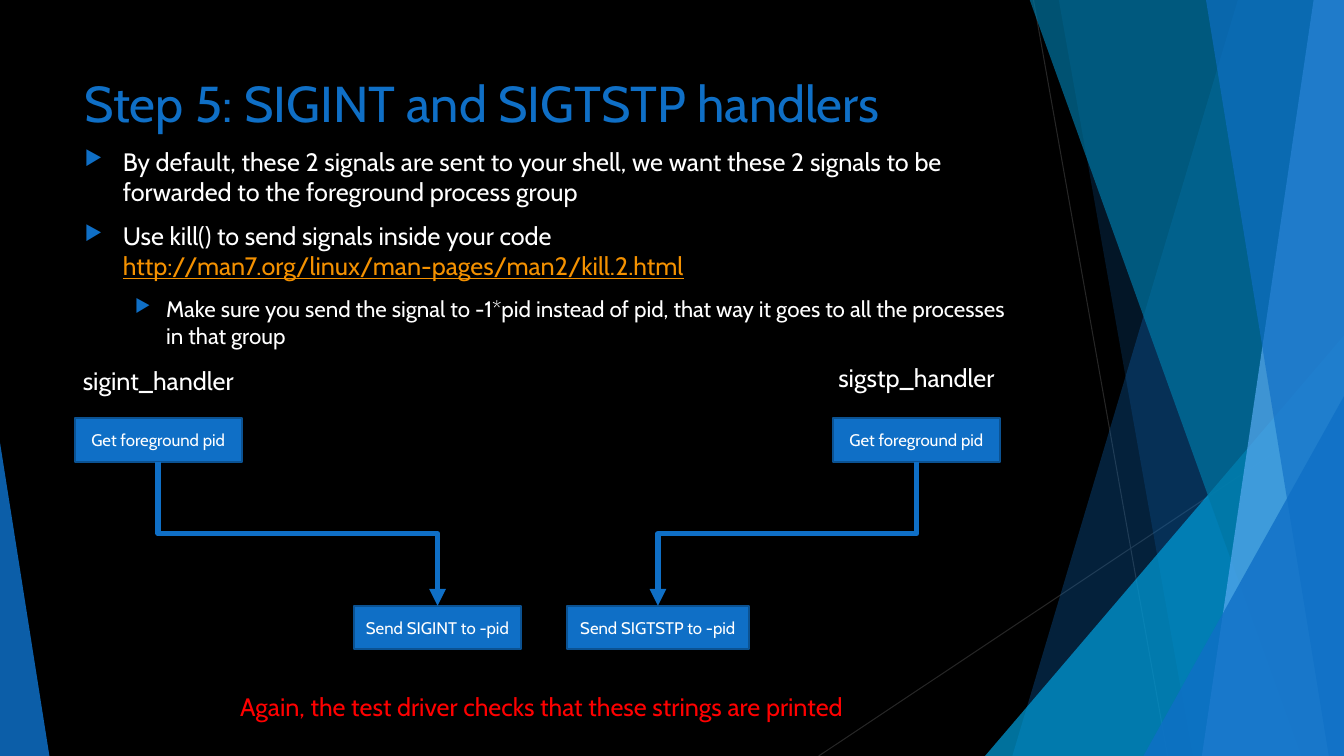
"""Build the slide on SIGINT and SIGTSTP handlers."""
from lxml.etree import SubElement
from pptx import Presentation
from pptx.dml.color import RGBColor
from pptx.enum.shapes import MSO_CONNECTOR as CONN, MSO_SHAPE as SHAPE
from pptx.enum.text import MSO_ANCHOR as ANCHOR, PP_ALIGN as ALIGN
from pptx.oxml.ns import qn
from pptx.util import Inches, Pt

BLACK = RGBColor(0x00, 0x00, 0x00)
WHITE = RGBColor(0xFF, 0xFF, 0xFF)
RED = RGBColor(0xFF, 0x00, 0x00)
ORANGE = RGBColor(0xF4, 0x91, 0x00)
BLUE = RGBColor(0x0F, 0x6F, 0xC6)
DARK_BLUE = RGBColor(0x0B, 0x52, 0x92)
LIGHT_BLUE = RGBColor(0x59, 0xAA, 0xF2)
CYAN = RGBColor(0x00, 0x9D, 0xD9)
TEAL = RGBColor(0x00, 0x76, 0xA3)
GREY = RGBColor(0x26, 0x26, 0x26)
FONT = "Cabin"
WIDTH, HEIGHT, BLEED = 13.33, 7.5, -0.01

TITLE = "Step 5: SIGINT and SIGTSTP handlers"
BULLETS = [
    (0, [("By default, these 2 signals are sent to your shell, we want these 2 "
          "signals to be forwarded to the foreground process group", False)]),
    (0, [("Use kill() to send signals inside your code ", False),
         ("http://man7.org/linux/man-pages/man2/kill.2.html", True)]),
    (1, [("Make sure you send the signal to -1*pid instead of pid, that way it "
          "goes to all the processes in that group", False)]),
]
LEVELS = [(0.38, -0.38, 18), (0.81, -0.31, 16)]
LABELS = [
    ("sigint_handler", (0.39, 3.58, 2.36, 0.4), WHITE),
    ("sigstp_handler", (7.91, 3.55, 2.36, 0.4), WHITE),
    ("Again, the test driver checks that these strings are printed",
     (1.74, 6.81, 7.26, 0.4), RED),
]
BOX_HEIGHT, GET_TOP, SEND_TOP = 0.43, 4.15, 6.01
FLOWS = [
    (("Get foreground pid", 0.74, 1.66), ("Send SIGINT to -pid", 3.51, 1.66)),
    (("Get foreground pid", 8.26, 1.66), ("Send SIGTSTP to -pid", 5.62, 1.81)),
]
HAIRLINES = [(10.25, 0, 11.58, 7.5), (13.33, 4.03, 8.12, 7.5)]
FACETS = [
    ("band", (12.28, 10.04), BLUE, 30),
    ("band", (10.5, 11.83), BLUE, 20),
    ("right", (9.77, 3.33), CYAN, 72),
    ("band", (10.21, 12.91), TEAL, 70),
    ("band", (13.03, 11.92), LIGHT_BLUE, 70),
    ("band", (11.96, 13.18), BLUE, 65),
    ("right", (11.34, 3.93), BLUE, 80),
    ("left", (0.49, 4.39), BLUE, 85),
]

prs = Presentation()
prs.slide_width, prs.slide_height = Inches(WIDTH), Inches(HEIGHT)
s = prs.slides.add_slide(prs.slide_layouts[6])
s.background.fill.solid()
s.background.fill.fore_color.rgb = BLACK


def put_text(p, text, size=18, color=WHITE, underline=None):
    r = p.add_run()
    r.text = text
    r.font.name, r.font.size = FONT, Pt(size)
    r.font.color.rgb, r.font.underline = color, underline


def add_text_box(box):
    tf = s.shapes.add_textbox(*map(Inches, box)).text_frame
    tf.word_wrap = True
    return tf


def add_line(kind, ends, color, width):
    line = s.shapes.add_connector(kind, *map(Inches, ends))
    line.line.color.rgb, line.line.width = color, Pt(width)
    SubElement(line._element.spPr, qn("a:effectLst"))
    return line


def add_facet(kind, edge, color, alpha):
    if kind == "band":
        top, bottom = edge
        points = [(top, BLEED), (WIDTH, BLEED), (WIDTH, HEIGHT), (bottom, HEIGHT)]
        points = [(Inches(x), Inches(y)) for x, y in points]
        outline = s.shapes.build_freeform(*points[0])
        outline.add_line_segments(points[1:])
        sp = outline.convert_to_shape()
    else:
        x, top = edge
        left, right = (x, WIDTH) if kind == "right" else (0, x)
        sp = s.shapes.add_shape(SHAPE.ISOSCELES_TRIANGLE, Inches(left), Inches(top),
                                Inches(right - left), Inches(HEIGHT - top))
        sp.adjustments[0] = 1 if kind == "right" else 0
    sp.shadow.inherit = False
    sp.line.fill.background()
    sp.fill.solid()
    sp.fill.fore_color.rgb = color
    clr = sp._element.spPr.find(qn("a:solidFill"))[0]
    SubElement(clr, qn("a:alpha"), val=str(alpha * 1000))


def add_bullet(p, level):
    left, indent, _ = LEVELS[level]
    p.level = level
    pPr = p._p.get_or_add_pPr()
    pPr.set("marL", str(Inches(left)))
    pPr.set("indent", str(Inches(indent)))
    clr = SubElement(pPr, qn("a:buClr"))
    SubElement(clr, qn("a:srgbClr"), val=str(BLUE))
    SubElement(pPr, qn("a:buSzPct"), val="80000")
    SubElement(pPr, qn("a:buChar"), char="▶")


def add_box(text, left, top, width):
    sp = s.shapes.add_shape(SHAPE.RECTANGLE, Inches(left), Inches(top),
                            Inches(width), Inches(BOX_HEIGHT))
    sp.shadow.inherit = False
    sp.fill.solid()
    sp.fill.fore_color.rgb = BLUE
    sp.line.color.rgb, sp.line.width = DARK_BLUE, Pt(1.5)
    tf = sp.text_frame
    tf.word_wrap, tf.vertical_anchor = True, ANCHOR.MIDDLE
    tf.paragraphs[0].alignment = ALIGN.CENTER
    put_text(tf.paragraphs[0], text, size=12)
    return sp


def join_boxes(source, target):
    x1, x2 = (sp.left + sp.width // 2 for sp in (source, target))
    y1, y2 = source.top + source.height, target.top
    run, drop = abs(x2 - x1), y2 - y1
    arrow = add_line(CONN.ELBOW, (0, 0, 1, 1), BLUE, 4)
    arrow.begin_connect(source, 2)
    arrow.end_connect(target, 0)
    arrow.left, arrow.top = (x1 + x2 - drop) // 2, (y1 + y2 - run) // 2
    arrow.width, arrow.height = drop, run
    xfrm = arrow._element.spPr.find(qn("a:xfrm"))
    rightward = x2 > x1
    xfrm.set("rot", str((270 if rightward else 90) * 60000))
    xfrm.set("flipH", "1" if rightward else "0")
    SubElement(arrow.line._get_or_add_ln(), qn("a:tailEnd"), type="triangle")


for ends in HAIRLINES:
    add_line(CONN.STRAIGHT, ends, GREY, 0.75)
for facet in FACETS:
    add_facet(*facet)

title = add_text_box((0.74, 0.67, 9.4, 1.44))
put_text(title.paragraphs[0], TITLE, size=36, color=BLUE)

body = add_text_box((0.74, 1.4, 9.4, 4.24))
for i, (level, runs) in enumerate(BULLETS):
    p = body.add_paragraph() if i else body.paragraphs[0]
    add_bullet(p, level)
    p.space_before = Pt(10 if i else 0)
    for text, is_url in runs:
        put_text(p, text, size=LEVELS[level][2],
                 color=ORANGE if is_url else WHITE, underline=is_url)

for text, box, color in LABELS:
    p = add_text_box(box).paragraphs[0]
    p.alignment = ALIGN.CENTER
    put_text(p, text, color=color)

for (get, get_left, get_width), (send, send_left, send_width) in FLOWS:
    join_boxes(add_box(get, get_left, GET_TOP, get_width),
               add_box(send, send_left, SEND_TOP, send_width))

prs.save("out.pptx")
